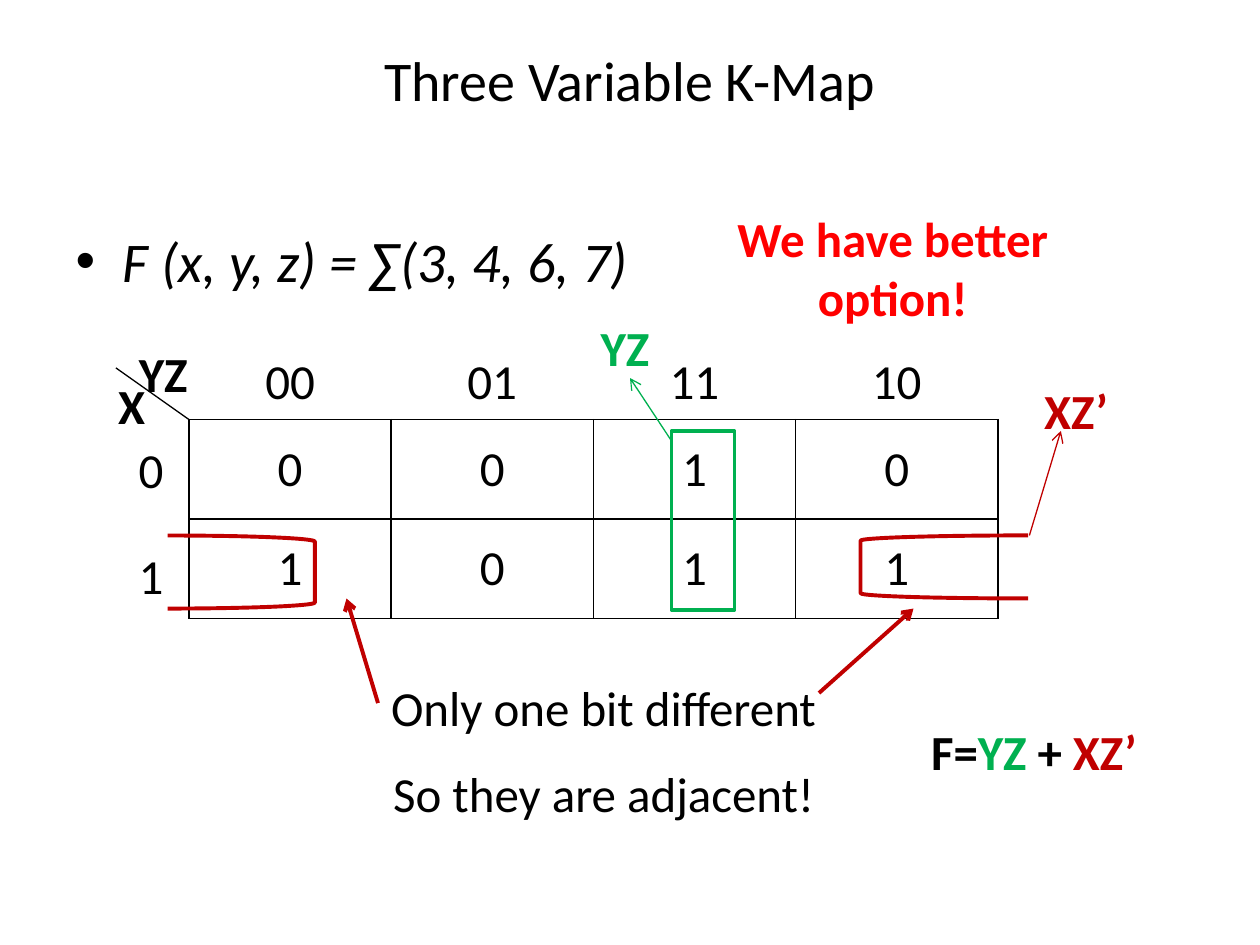
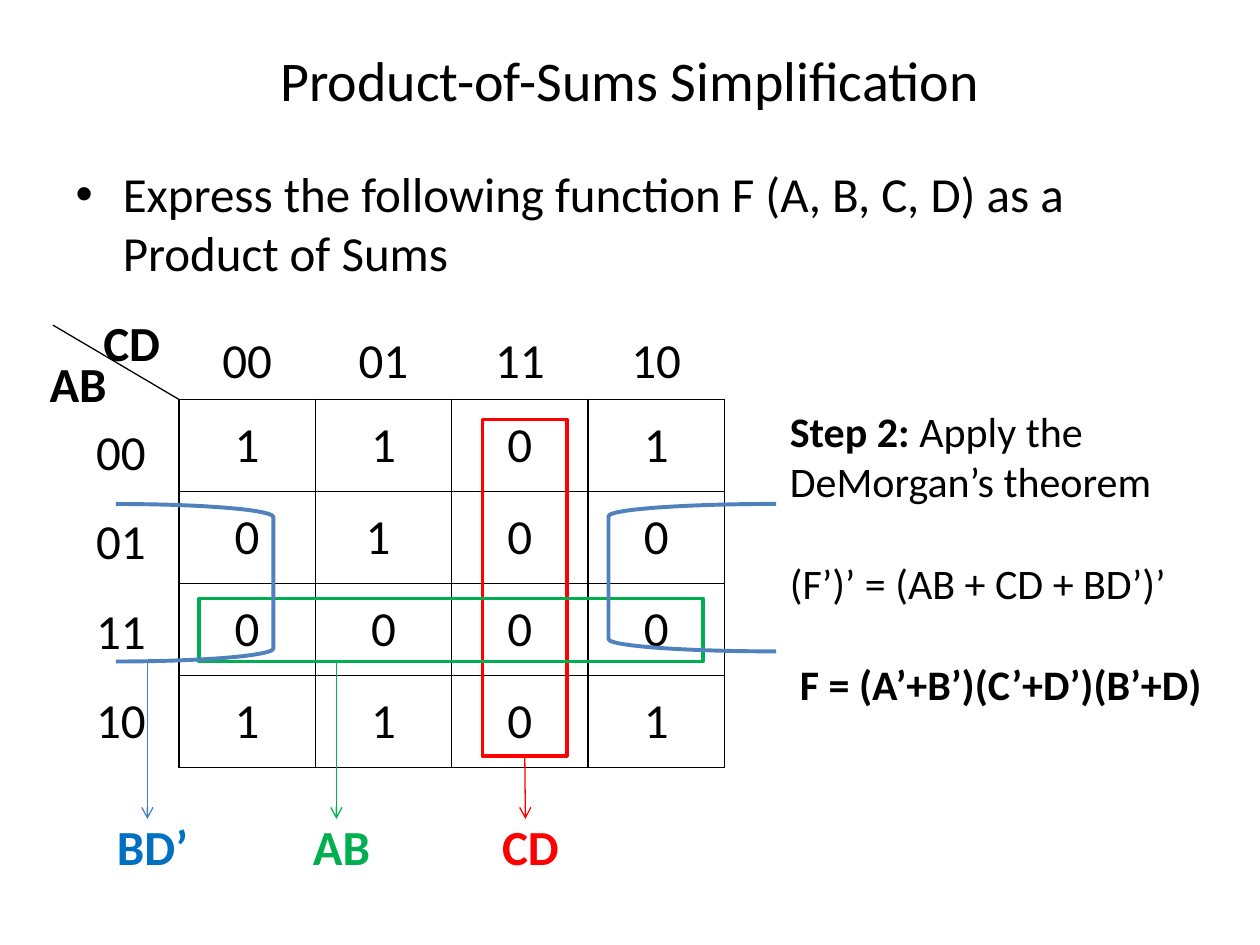
from lxml import etree
from pptx import Presentation
from pptx.dml.color import RGBColor
from pptx.enum import shapes, text
from pptx.oxml.ns import qn
from pptx.util import Inches, Pt

COLORS = {
    "black": "000000",
    "red": "FF0000",
    "crimson": "C00000",
    "green": "00B050",
    "blue": "0070C0",
    "bracket_blue": "4F81BD",
    "arrow_blue": "4B7EBC",
}
FONT = "Calibri"
GRAY_CODE = ["00", "01", "11", "10"]
CENTER = text.PP_ALIGN.CENTER
LEFT = text.PP_ALIGN.LEFT
MIDDLE = text.MSO_ANCHOR.MIDDLE
TOP = text.MSO_ANCHOR.TOP
RECTANGLE = shapes.MSO_SHAPE.RECTANGLE
LEFT_BRACKET = shapes.MSO_SHAPE.LEFT_BRACKET
RIGHT_BRACKET = shapes.MSO_SHAPE.RIGHT_BRACKET


def rgb(color):
    return RGBColor.from_string(COLORS[color])


def inches(box):
    return [Inches(length) for length in box]


def add_run(paragraph, words, size=28, color="black", bold=False, italic=False):
    run = paragraph.add_run()
    run.text = words
    font = run.font
    font.name, font.size = FONT, Pt(size)
    font.bold, font.italic = bold, italic
    font.color.rgb = rgb(color)


def fill_placeholder(placeholder, box, words, **style):
    placeholder.left, placeholder.top, placeholder.width, placeholder.height = inches(box)
    frame = placeholder.text_frame
    frame.auto_size = text.MSO_AUTO_SIZE.NONE
    paragraph = frame.paragraphs[0]
    paragraph.space_before = Pt(0)
    add_run(paragraph, words, **style)


def add_slide(presentation, title, body, body_top, **body_style):
    slide = presentation.slides.add_slide(presentation.slide_layouts[1])
    fill_placeholder(slide.shapes.title, (0.5, 0, 9, 1.25), title, size=32)
    body_box = (0.5, body_top, 9, 6.7 - body_top)
    fill_placeholder(slide.placeholders[1], body_box, body, **body_style)
    return slide


def add_text_frame(slide, box, anchor):
    frame = slide.shapes.add_textbox(*inches(box)).text_frame
    frame.word_wrap = True
    frame.vertical_anchor = anchor
    return frame


def add_label(slide, box, *runs, bold=True, anchor=MIDDLE):
    paragraph = add_text_frame(slide, box, anchor).paragraphs[0]
    paragraph.alignment = CENTER
    for words, color in runs:
        add_run(paragraph, words, color=color, bold=bold)


def set_borders(cell, bordered):
    properties = cell._tc.get_or_add_tcPr()
    for side in ("a:lnL", "a:lnR", "a:lnT", "a:lnB"):
        line = etree.SubElement(properties, qn(side), w=str(Pt(1)))
        if bordered:
            fill = etree.SubElement(line, qn("a:solidFill"))
            etree.SubElement(fill, qn("a:srgbClr"), val=COLORS["black"])
        else:
            etree.SubElement(line, qn("a:noFill"))


def add_grid(slide, box, rows, bordered=False, alignment=CENTER):
    frame = slide.shapes.add_table(len(rows), len(rows[0]), *inches(box))
    table = frame.table
    table.first_row = table.horz_banding = False
    for row_index, row in enumerate(rows):
        for column_index, value in enumerate(row):
            cell = table.cell(row_index, column_index)
            set_borders(cell, bordered)
            cell.fill.background()
            cell.vertical_anchor = MIDDLE
            paragraph = cell.text_frame.paragraphs[0]
            paragraph.alignment = alignment
            add_run(paragraph, value)


def add_outline(slide, kind, box, color, width=2.25):
    shape = slide.shapes.add_shape(kind, *inches(box))
    shape.shadow.inherit = False
    shape.fill.background()
    shape.line.color.rgb = rgb(color)
    shape.line.width = Pt(width)
    return shape


def add_line(slide, start, end, color="black", width=0.75, arrow=True):
    connector = slide.shapes.add_connector(
        shapes.MSO_CONNECTOR.STRAIGHT, *inches(start + end))
    connector.line.color.rgb = rgb(color)
    connector.line.width = Pt(width)
    if arrow:
        etree.SubElement(connector.line._get_or_add_ln(), qn("a:tailEnd"), type="arrow")
    etree.SubElement(connector._element.spPr, qn("a:effectLst"))
    return connector


def build_three_variable_slide(presentation):
    slide = add_slide(presentation, "Three Variable K-Map",
                      "F (x, y, z) = ∑(3, 4, 6, 7)", 1.75, size=32, italic=True)
    add_grid(slide, (1.5, 3.33, 6.42, 1.58), ["0010", "1011"], bordered=True)
    add_grid(slide, (1.5, 2.75, 6.42, 0.57), [GRAY_CODE])
    add_grid(slide, (1, 3.33, 0.5, 1.67), ["0", "1"], alignment=LEFT)
    add_line(slide, (0.92, 2.92), (1.5, 3.33), arrow=False)
    add_label(slide, (0.92, 2.67, 0.75, 0.58), ("YZ", "black"))
    add_label(slide, (0.67, 2.92, 0.75, 0.58), ("X", "black"))

    add_outline(slide, RECTANGLE, (5.33, 3.42, 0.5, 1.42), "green", 2)
    add_outline(slide, LEFT_BRACKET, (6.83, 4.25, 1.33, 0.5), "crimson")
    add_outline(slide, RIGHT_BRACKET, (1.33, 4.25, 1.17, 0.58), "crimson")
    add_line(slide, (6.5, 5.5), (7.25, 4.83), "crimson", 2.25)
    add_line(slide, (3, 5.58), (2.75, 4.75), "crimson", 2.25)
    add_line(slide, (8.17, 4.25), (8.42, 3.42), "crimson")
    add_line(slide, (5.33, 3.5), (5, 3), "green")

    add_label(slide, (5.42, 1.75, 3.33, 0.75), ("We have better option!", "red"))
    add_label(slide, (8.08, 2.92, 0.92, 0.67), ("XZ’", "crimson"))
    add_label(slide, (4.5, 2.42, 0.92, 0.67), ("YZ", "green"))
    for top, remark in ((5.33, "Only one bit different"), (6.01, "So they are adjacent!")):
        add_label(slide, (2.08, top, 5.42, 0.57), (remark, "black"), bold=False, anchor=TOP)
    add_label(slide, (7.08, 5.25, 2.25, 1.42), ("F=", "black"), ("YZ ", "green"),
              ("+ ", "black"), ("XZ’", "crimson"))


def add_demorgan_step(slide):
    frame = add_text_frame(slide, (6.17, 3.17, 3.58, 2.83), TOP)
    step = frame.paragraphs[0]
    add_run(step, "Step 2: ", size=24, bold=True)
    add_run(step, "Apply the DeMorgan’s theorem", size=24)
    complement, result = frame.add_paragraph(), frame.add_paragraph()
    complement.space_before = result.space_before = Pt(29)
    add_run(complement, "(F’)’ = (AB + CD + BD’)’", size=24)
    result._p.get_or_add_pPr().set("marL", str(Inches(0.08)))
    add_run(result, "F = (A’+B’)(C’+D’)(B’+D)", size=24, bold=True)


def build_product_of_sums_slide(presentation):
    slide = add_slide(presentation, "Product-of-Sums Simplification",
                      "Express the following function F (A, B, C, D) as a Product of Sums", 1.25)
    add_grid(slide, (1.42, 3.17, 4.33, 2.92),
             ["1101", ["0", "1 ", "0", "0"], "0000", "1101"], bordered=True)
    add_grid(slide, (1.42, 2.58, 4.33, 0.57), [GRAY_CODE])
    add_grid(slide, (0.5, 3.25, 0.92, 2.83), [[code] for code in GRAY_CODE])
    add_line(slide, (1.42, 3.17), (0.42, 2.58), arrow=False)
    add_label(slide, (0.67, 2.42, 0.75, 0.58), ("CD", "black"))
    add_label(slide, (0.08, 2.75, 1.08, 0.58), ("AB", "black"))
    add_demorgan_step(slide)

    cd_group = add_outline(slide, RECTANGLE, (3.83, 3.33, 0.67, 2.67), "red", 2)
    add_outline(slide, RECTANGLE, (1.58, 4.75, 4, 0.5), "green", 2)
    add_outline(slide, LEFT_BRACKET, (4.83, 4, 1.33, 1.17), "bracket_blue")
    add_outline(slide, RIGHT_BRACKET, (0.92, 4, 1.25, 1.25), "bracket_blue")
    add_line(slide, (2.67, 5.25), (2.67, 6.5), "green")
    add_line(slide, (1.17, 5.25), (1.17, 6.5), "arrow_blue")
    cd_arrow = add_line(slide, (4.17, 6), (4.17, 6.5), "red")
    cd_arrow.begin_connect(cd_group, 2)

    for left, width, term, color in ((0.67, 1.08, "BD’", "blue"),
                                     (2.17, 1.08, "AB", "green"),
                                     (3.75, 0.92, "CD", "red")):
        add_label(slide, (left, 6.42, width, 0.58), (term, color))


def main():
    presentation = Presentation()
    presentation.slide_width, presentation.slide_height = Inches(10), Inches(7.5)
    build_three_variable_slide(presentation)
    build_product_of_sums_slide(presentation)
    presentation.save("out.pptx")


if __name__ == "__main__":
    main()
